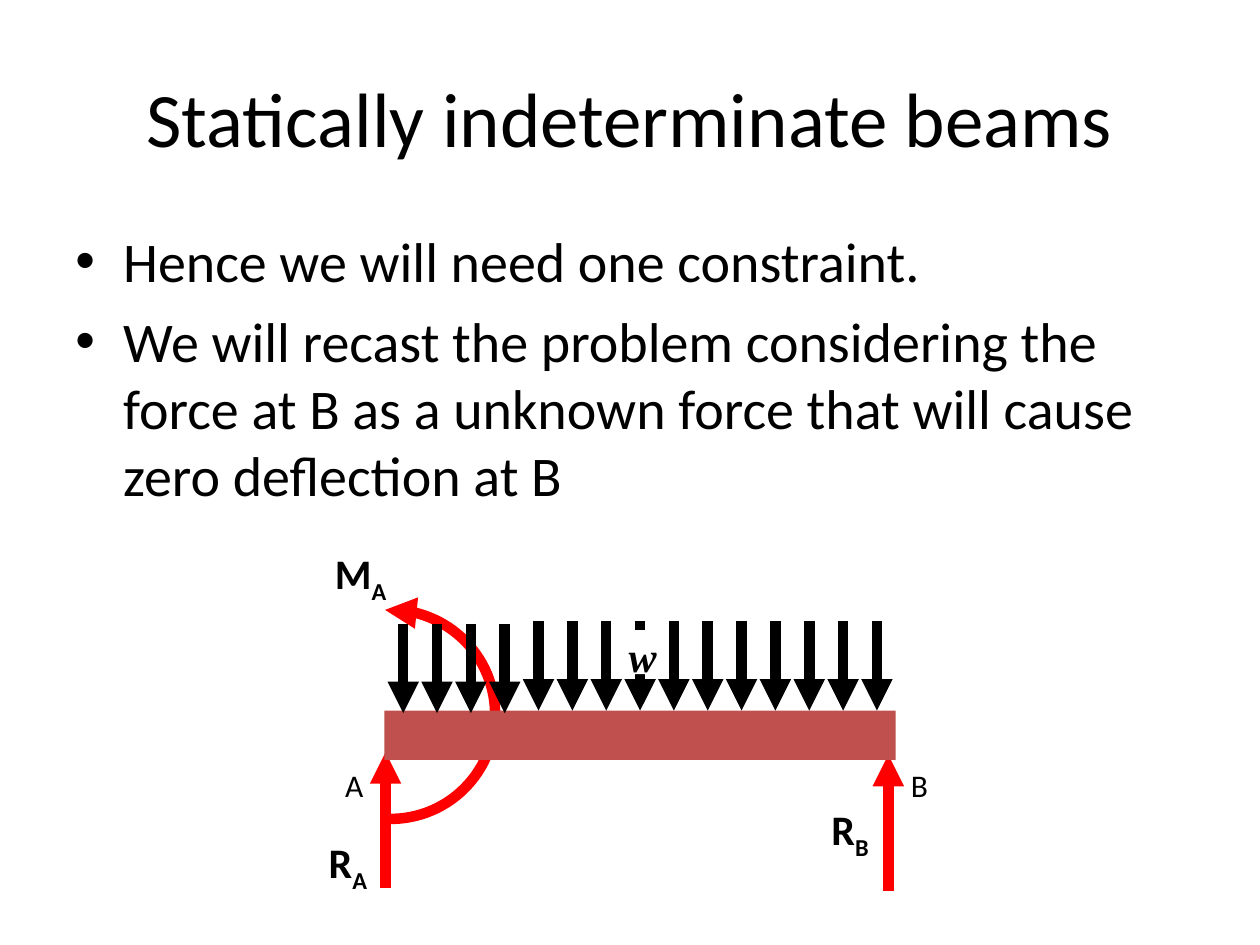
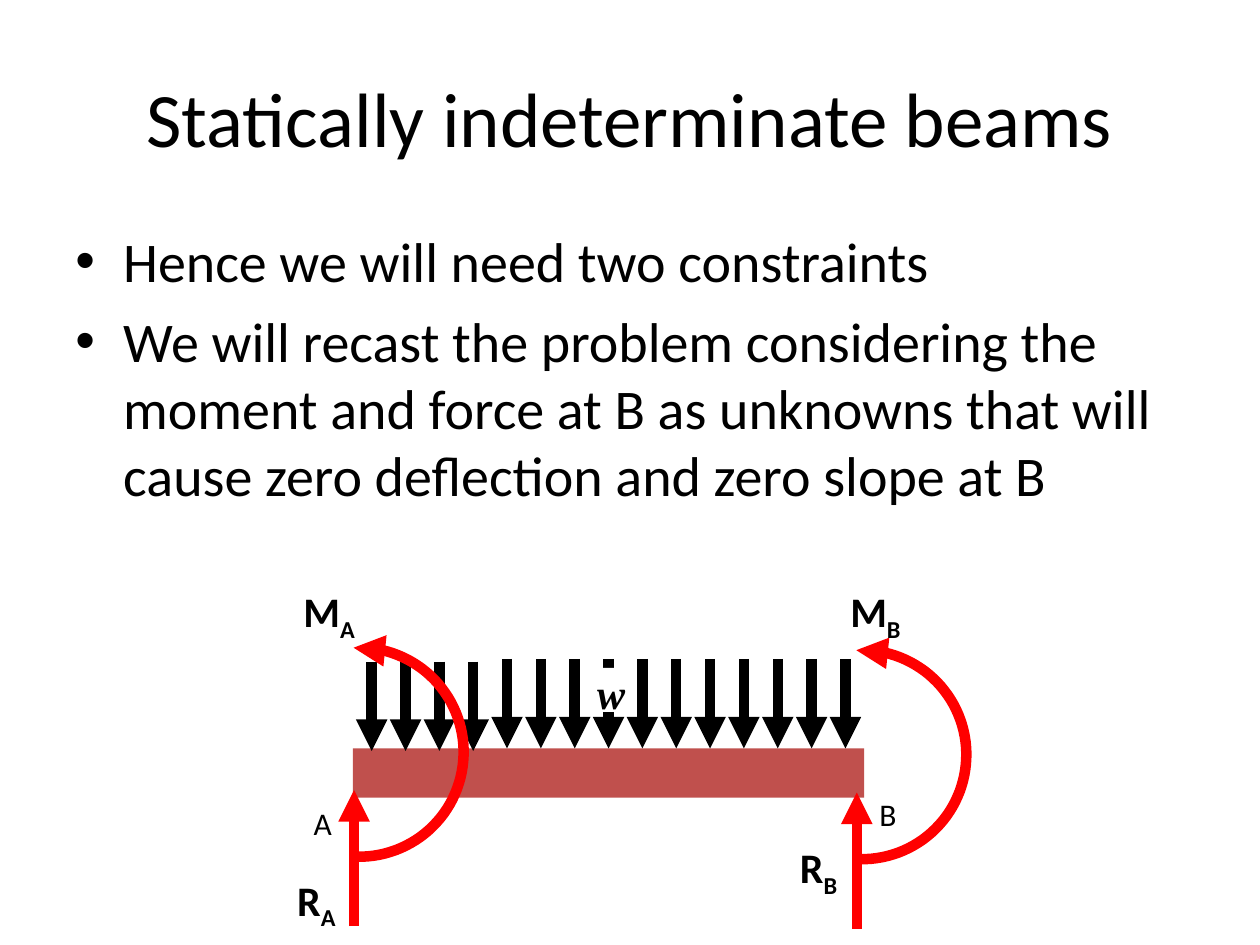
import math

from lxml import etree
from pptx import Presentation
from pptx.dml.color import RGBColor
from pptx.enum.shapes import MSO_CONNECTOR, MSO_SHAPE
from pptx.enum.text import MSO_ANCHOR, PP_ALIGN
from pptx.oxml.ns import qn
from pptx.util import Inches, Pt

STRAIGHT = MSO_CONNECTOR.STRAIGHT
RECTANGLE = MSO_SHAPE.RECTANGLE
TOP, MIDDLE = MSO_ANCHOR.TOP, MSO_ANCHOR.MIDDLE
LEFT, CENTER = PP_ALIGN.LEFT, PP_ALIGN.CENTER

BLACK, RED, BEAM_RED, WHITE = "000000", "FF0000", "C0504D", "FFFFFF"
BODY_FONT, SYMBOL_FONT = "Calibri", "Times New Roman"
LINE_WIDTH = 6
MARGINS = (0.1, 0.05, 0.1, 0.05)

TITLE = "Statically indeterminate beams"

SUPPORT_A = {
    "name": "A", "tip": (3.06, 5.97), "name_at": (2.64, 6.03),
    "force_at": (2.51, 6.59), "moment_at": (2.56, 4.3),
}
SUPPORT_B = {
    "name": "B", "tip": (7.05, 5.99), "name_at": (7.13, 6.03),
    "force_at": (6.5, 6.33), "moment_at": (6.9, 4.3),
}

SLIDES = [
    {
        "bullets": [
            "Hence we will need one constraint.",
            "We will recast the problem considering the force at B as a unknown "
            "force that will cause zero deflection at B",
        ],
        "shift": (0, 0),
        "supports": [SUPPORT_A, SUPPORT_B],
        "moments": "A",
        "beam_in_front": True,
    },
    {
        "bullets": [
            "Hence we will need two constraints",
            "We will recast the problem considering the moment and force at B as "
            "unknowns that will cause zero deflection and zero slope at B",
        ],
        "shift": (-0.25, 0.3),
        "supports": [SUPPORT_A, {**SUPPORT_B, "name_at": (7.13, 5.96)}],
        "moments": "AB",
        "beam_in_front": False,
    },
]

BEAM = (3.05, 5.64, 4.06, 0.39)
LOAD_COUNT, LOWERED_COUNT = 15, 4
LOAD_FIRST, LOAD_LAST = 3.2, 6.96
LOAD_TOP, LOAD_BOTTOM, LOWERED_BY = 4.93, 5.64, 0.02
LOAD_LABEL = (4.91, 5, 0.35, 0.35)
REACTION_LENGTH = 1.08
ARC_CENTER_OFFSET = (0.04, -0.3)
ARC_RADIUS, ARC_START, ARC_END, ARC_STEPS = 0.83, -93, 91, 60


def color(value):
    return RGBColor.from_string(value)


def write_text(box, texts, size=18, font=BODY_FONT, bold=False, italic=False,
               align=LEFT, anchor=TOP, margins=MARGINS, bullet=False, subscript=""):
    frame = box.text_frame
    frame.word_wrap = True
    frame.vertical_anchor = anchor
    (frame.margin_left, frame.margin_top,
     frame.margin_right, frame.margin_bottom) = map(Inches, margins)
    for index, text in enumerate(texts):
        para = frame.paragraphs[0] if index == 0 else frame.add_paragraph()
        para.alignment = align
        if index:
            para.space_before = Pt(7)
        if bullet:
            properties = para._p.get_or_add_pPr()
            properties.set("marL", str(Inches(0.38)))
            properties.set("indent", str(-Inches(0.38)))
            etree.SubElement(properties, qn("a:buFont")).set("typeface", "Arial")
            etree.SubElement(properties, qn("a:buChar")).set("char", "•")
        for part in filter(None, (text, subscript)):
            span = para.add_run()
            span.text = part
            span.font.name = font
            span.font.size = Pt(size)
            span.font.bold = bold
            span.font.italic = italic
            span.font.color.rgb = color(BLACK)
            if part == subscript:
                span._r.get_or_add_rPr().set("baseline", "-25000")


def add_text(shapes, place, texts, **format_options):
    box = shapes.add_textbox(*map(Inches, place))
    write_text(box, texts, **format_options)


def add_block(shapes, place, fill):
    block = shapes.add_shape(RECTANGLE, *map(Inches, place))
    block.shadow.inherit = False
    block.fill.solid()
    block.fill.fore_color.rgb = color(fill)
    block.line.fill.background()
    return block


def style_arrow(shape, line_color, end):
    shape.line.color.rgb = color(line_color)
    shape.line.width = Pt(LINE_WIDTH)
    outline = shape.line._get_or_add_ln()
    etree.SubElement(outline, qn(end)).set("type", "triangle")


def add_arrow(shapes, x, start, end, line_color):
    arrow = shapes.add_connector(
        STRAIGHT, Inches(x), Inches(start), Inches(x), Inches(end))
    style_arrow(arrow, line_color, "a:tailEnd")
    etree.SubElement(arrow._element.spPr, qn("a:effectLst"))


def add_moment(shapes, center_x, center_y):
    points = []
    for step in range(ARC_STEPS + 1):
        angle = math.radians(ARC_START + (ARC_END - ARC_START) * step / ARC_STEPS)
        points.append((Inches(center_x + ARC_RADIUS * math.cos(angle)),
                       Inches(center_y + ARC_RADIUS * math.sin(angle))))
    builder = shapes.build_freeform(*points[0])
    builder.add_line_segments(points[1:], close=False)
    arc = builder.convert_to_shape()
    arc.fill.background()
    style_arrow(arc, RED, "a:headEnd")
    arc.shadow.inherit = False


def add_loaded_beam(shapes, supports, shift):
    dx, dy = shift

    def moved(place):
        return (place[0] + dx, place[1] + dy, *place[2:])

    add_block(shapes, moved(BEAM), BEAM_RED)
    for support in supports:
        add_text(shapes, moved((*support["name_at"], 0.39, 0.4)), [support["name"]])
    pitch = (LOAD_LAST - LOAD_FIRST) / (LOAD_COUNT - 1)
    for index in range(LOAD_COUNT):
        drop = dy + (LOWERED_BY if index < LOWERED_COUNT else 0)
        add_arrow(shapes, LOAD_FIRST + index * pitch + dx,
                  LOAD_TOP + drop, LOAD_BOTTOM + drop, BLACK)
    label = add_block(shapes, moved(LOAD_LABEL), WHITE)
    write_text(label, ["w"], size=24, font=SYMBOL_FONT, bold=True, italic=True,
               margins=(0.08, 0, 0, 0))


def add_reactions(shapes, supports, moments, shift):
    dx, dy = shift
    for support in supports:
        name = support["name"]
        x, y = support["tip"][0] + dx, support["tip"][1] + dy
        add_arrow(shapes, x, y + REACTION_LENGTH, y, RED)
        labels = [("R", support["force_at"], 0.59)]
        if name in moments:
            add_moment(shapes, x + ARC_CENTER_OFFSET[0], y + ARC_CENTER_OFFSET[1])
            labels.append(("M", support["moment_at"], 0.63))
        for symbol, (left, top), width in labels:
            add_text(shapes, (left + dx, top + dy, width, 0.47), [symbol],
                     size=24, bold=True, subscript=name)


def add_page(deck, content):
    page = deck.slides.add_slide(deck.slide_layouts[6])
    add_text(page.shapes, (0.5, 0.3, 9, 1.25), [TITLE],
             size=44, align=CENTER, anchor=MIDDLE)
    add_text(page.shapes, (0.5, 1.75, 9, 4.95), content["bullets"],
             size=32, bullet=True)
    diagram = page.shapes.add_group_shape().shapes
    supports, shift = content["supports"], content["shift"]
    if content["beam_in_front"]:
        add_reactions(diagram, supports, content["moments"], shift)
        add_loaded_beam(diagram, supports, shift)
    else:
        add_loaded_beam(diagram, supports, shift)
        add_reactions(diagram, supports, content["moments"], shift)


def main():
    deck = Presentation()
    deck.slide_width, deck.slide_height = Inches(10), Inches(7.5)
    for content in SLIDES:
        add_page(deck, content)
    deck.save("out.pptx")


if __name__ == "__main__":
    main()
